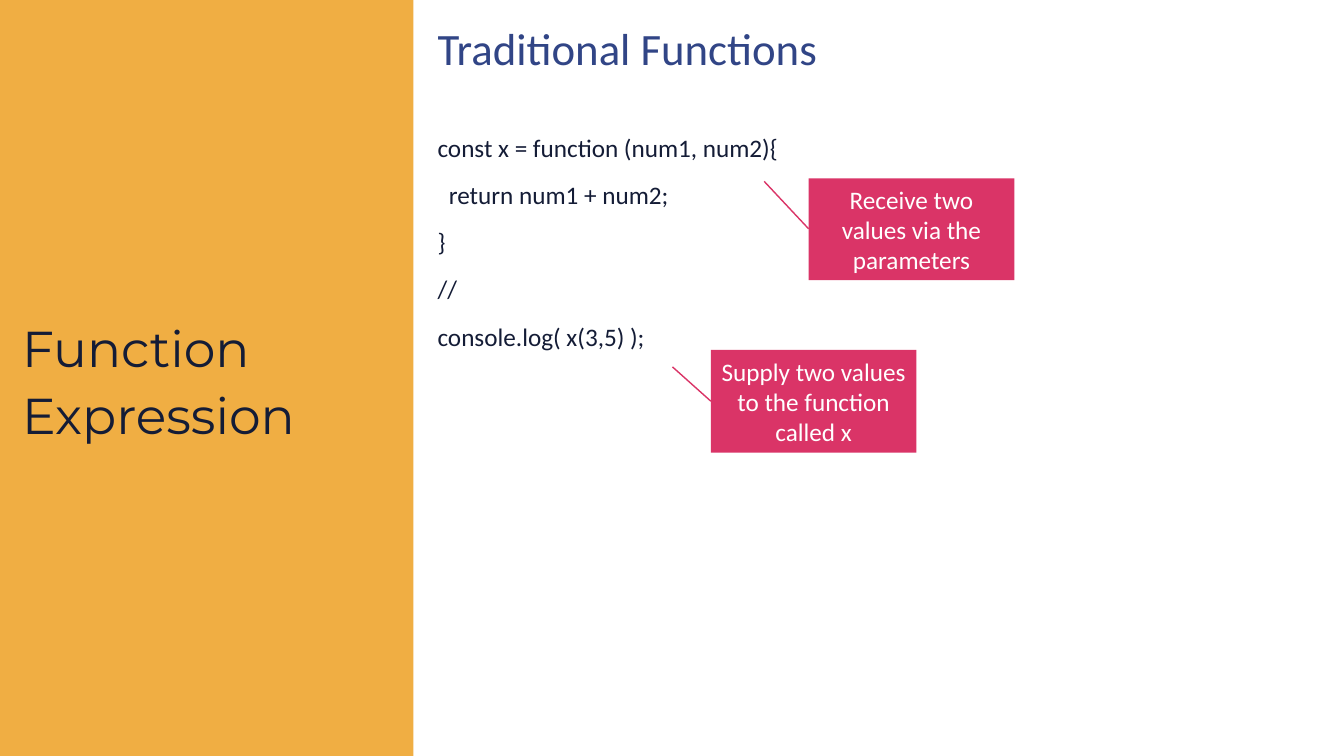
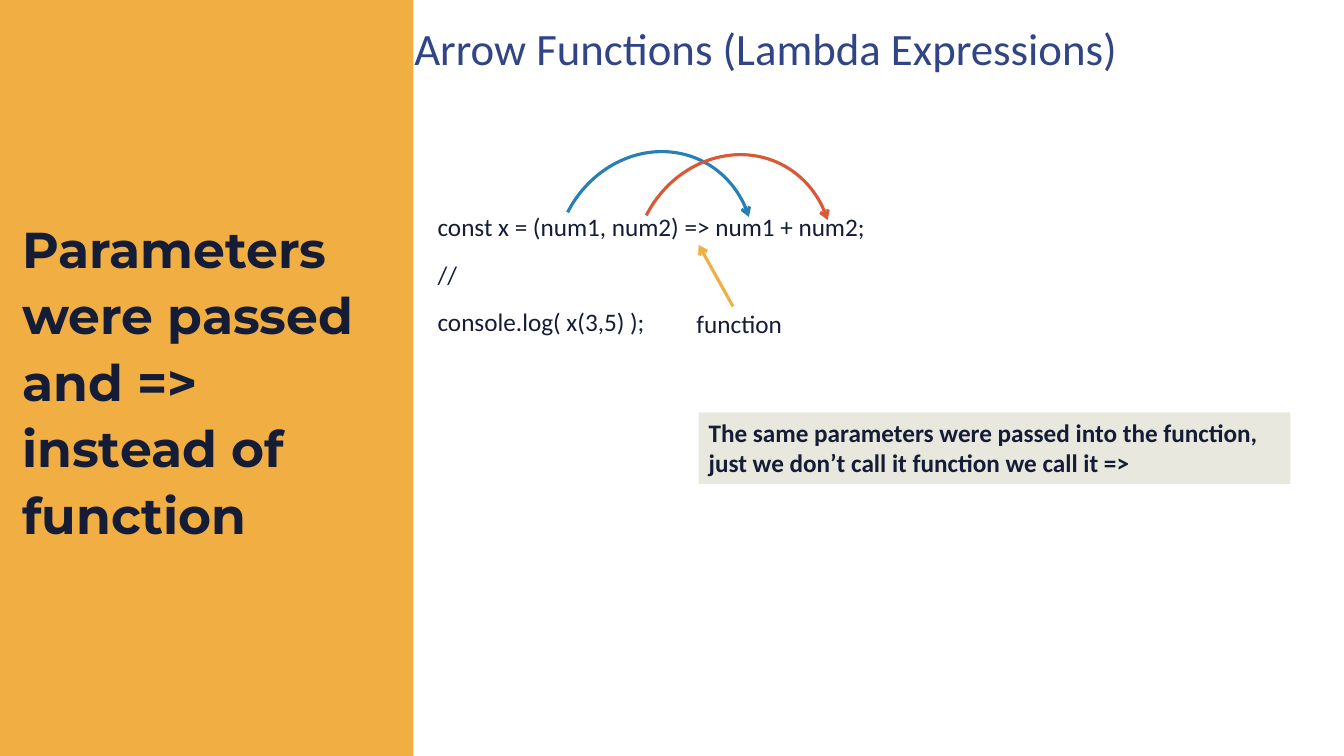
from lxml import etree
from pptx import Presentation
from pptx import util as u
from pptx.dml.color import RGBColor
from pptx.enum import shapes, text
from pptx.oxml.ns import qn

PX = 9144  # EMU in one px, 100 px to the inch
COLORS = {
    "band": "F0AE43", "ink": "141C36", "title": "314586", "callout": "DA3467",
    "white": "FFFFFF", "note": "E9E8DE", "blue": "267FB5", "red": "DA5835",
}
BODY_FONT, SIDE_FONT = "Calibri", "Montserrat"
PAGE_W, PAGE_H, BAND_W = 1333, 750, 410
CODE_LEFT, CODE_W, CODE_BOTTOM = 434, 840, 671

SLIDES = [
    {
        "side": "Function Expression", "side_bold": False,
        "title": "Traditional Functions", "title_left": CODE_LEFT,
        "code_top": 128,
        "code": ["const x = function (num1, num2){", "  return num1 + num2;", "}",
                 "//", "console.log( x(3,5) );"],
        # text, box, start of the leader line
        "callouts": [
            ("Receive two values via the parameters", (802, 177, 204, 101), (758, 180)),
            ("Supply two values to the function called x", (705, 347, 204, 102), (667, 364)),
        ],
    },
    {
        "side": "Parameters were passed and => instead of function", "side_bold": True,
        "title": "Arrow Functions (Lambda Expressions)", "title_left": 411,
        "code_top": 207,
        "code": ["const x = (num1, num2) => num1 + num2;", "//", "console.log( x(3,5) );"],
        "arcs": [("blue", 543, 158), ("red", 621, 161)],
        "pointer": ((727, 304), (693, 243)),
        "label": ("function", (681, 301, 106, 40)),
        "note": (["The same parameters were passed into the function,",
                  "just we don’t call it function we call it =>"], (693, 409, 587, 71)),
    },
]


def emu(lengths):
    return [u.Emu(length * PX) for length in lengths]


def rgb(name):
    return RGBColor.from_string(COLORS[name])


def write(shape, lines, size=18, font=BODY_FONT, color="ink", bold=False, align="LEFT",
          anchor="TOP", wrap=True, inset=True, spacing=None, before=0):
    frame = shape.text_frame
    frame.word_wrap = wrap
    frame.vertical_anchor = text.MSO_ANCHOR[anchor]
    if not inset:
        frame.margin_left = frame.margin_top = frame.margin_right = frame.margin_bottom = 0
    for i, line in enumerate(lines):
        para = frame.add_paragraph() if i else frame.paragraphs[0]
        para.alignment = text.PP_ALIGN[align]
        para.line_spacing = spacing
        para.space_before = u.Pt(before if i else 0)
        span = para.add_run()
        span.text = line
        span.font.name, span.font.size, span.font.bold = font, u.Pt(size), bold
        span.font.color.rgb = rgb(color)


def add_text(page, lines, box, **style):
    write(page.shapes.add_textbox(*emu(box)), lines, **style)


def add_block(page, lines, box, **style):
    """Text without insets, in the deck's open line spacing."""
    add_text(page, lines, box, inset=False, spacing=1.1, before=10, **style)


def add_panel(page, box, fill):
    panel = page.shapes.add_shape(shapes.MSO_SHAPE.RECTANGLE, *emu(box))
    panel.shadow.inherit = False
    panel.fill.solid()
    panel.fill.fore_color.rgb = rgb(fill)
    panel.line.fill.background()
    return panel


def style_line(shape, color, width, arrow):
    shape.line.color.rgb = rgb(color)
    shape.line.width = u.Pt(width)
    if arrow:
        outline = shape.line._get_or_add_ln()
        etree.SubElement(outline, qn("a:tailEnd"), type="arrow")


def add_line(page, start, end, color, width, arrow=False):
    line = page.shapes.add_connector(shapes.MSO_CONNECTOR.STRAIGHT, *emu(start + end))
    style_line(line, color, width, arrow)
    etree.SubElement(line._element.spPr, qn("a:effectLst"))


def add_arc(page, color, left, top):
    arc = page.shapes.add_shape(shapes.MSO_SHAPE.ARC, *emu((left, top, 212, 193)))
    arc.shadow.inherit = False
    arc.fill.background()
    arc.rotation = 297
    arc.adjustments[0], arc.adjustments[1] = 162, 24.16
    style_line(arc, color, 2.25, arrow=True)


def add_callout(page, words, box, start):
    left, top, _, height = box
    write(add_panel(page, box, "callout"), [words], color="white", align="CENTER",
          anchor="MIDDLE")
    add_line(page, start, (left, top + height // 2), "callout", 1)


def build_page(deck, content):
    page = deck.slides.add_slide(deck.slide_layouts[6])
    add_panel(page, (0, 0, BAND_W, PAGE_H), "band")
    add_block(page, [content["side"]], (22, 228, 362, 294), size=36, font=SIDE_FONT,
              bold=content["side_bold"], anchor="MIDDLE")
    add_block(page, [content["title"]], (content["title_left"], 15, 710, 62), size=32,
              color="title")
    top = content["code_top"]
    add_block(page, content["code"], (CODE_LEFT, top, CODE_W, CODE_BOTTOM - top))
    for callout in content.get("callouts", []):
        add_callout(page, *callout)
    for arc in content.get("arcs", []):
        add_arc(page, *arc)
    if "pointer" in content:
        add_line(page, *content["pointer"], "band", 2.25, arrow=True)
    if "label" in content:
        words, box = content["label"]
        add_text(page, [words], box, wrap=False)
    if "note" in content:
        lines, box = content["note"]
        write(add_panel(page, box, "note"), lines, bold=True, wrap=False)


def main():
    deck = Presentation()
    deck.slide_width, deck.slide_height = emu((PAGE_W, PAGE_H))
    for content in SLIDES:
        build_page(deck, content)
    deck.save("out.pptx")


if __name__ == "__main__":
    main()
